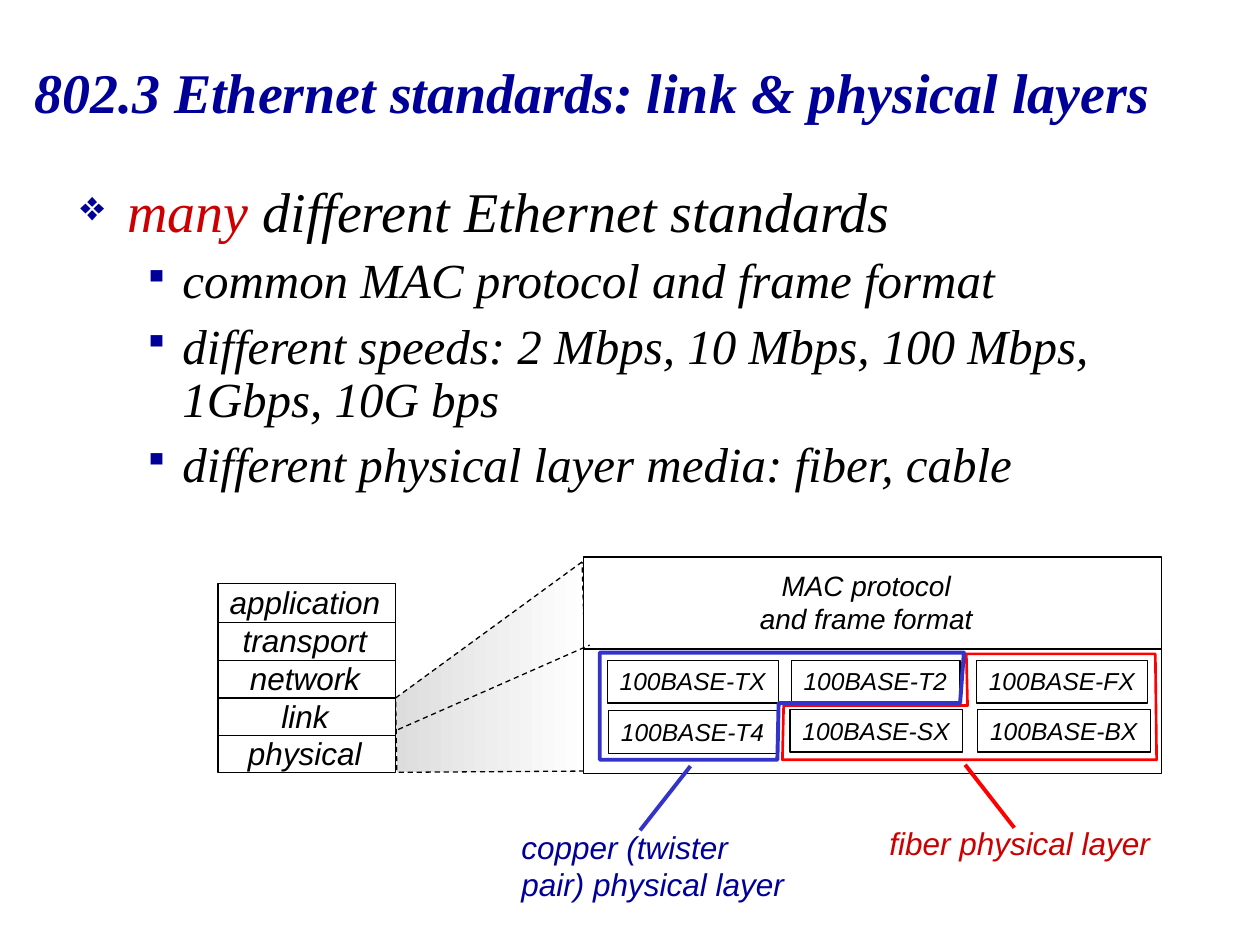
from lxml import etree
from pptx import Presentation
from pptx.dml.color import RGBColor
from pptx.enum import dml, shapes, text
from pptx.oxml import ns
from pptx.util import Inches, Pt

BLACK, WHITE, NAVY, CRIMSON = "000000", "FFFFFF", "000099", "CC0000"
BLUE, RED = "3333CC", "FF0000"

# Content
TITLE = "802.3 Ethernet standards: link & physical layers"
BULLETS = [  # level, runs of (text, colour)
    (0, [("many ", CRIMSON), ("different Ethernet standards", BLACK)]),
    (1, [("common MAC protocol and frame format", BLACK)]),
    (1, [("different speeds: 2 Mbps, 10 Mbps, 100 Mbps, 1Gbps, 10G bps", BLACK)]),
    (1, [("different physical layer media: fiber, cable", BLACK)]),
]
BULLET_STYLES = [  # mark, mark size %, indent, hanging, text size, space before
    ("❖", 75, 0.37, 0.37, 32, 8),
    ("▪", 72, 0.81, 0.31, 28, 7),
]
LAYERS = ["application", "transport", "network", "link", "physical"]
MAC_LABEL = ["MAC protocol", "and frame format"]
STANDARDS = [  # label, left, top, width
    ("100BASE-TX", 4.82, 5.24, 1.36),
    ("100BASE-T2", 6.28, 5.24, 1.34),
    ("100BASE-FX", 7.75, 5.24, 1.36),
    ("100BASE-T4", 4.83, 5.64, 1.34),
    ("100BASE-SX", 6.27, 5.63, 1.37),
    ("100BASE-BX", 7.76, 5.63, 1.37),
]
MEDIA = [  # outline, outline width, pointer, colour, label, label box, label colour
    ([(7.67, 5.19), (7.68, 5.6), (6.22, 5.6), (6.21, 6.03), (9.18, 6.03), (9.17, 5.19)],
     1.5, (7.66, 6.07, 8.05, 6.57), RED,
     ["fiber physical layer"], (6.96, 6.49, 2.3, 0.4), CRIMSON),
    ([(7.65, 5.18), (7.62, 5.58), (6.18, 5.58), (6.17, 6.03), (4.76, 6.03), (4.76, 5.18)],
     2.25, (5.48, 6.08, 5.08, 6.59), BLUE,
     ["copper (twister", "pair) physical layer"], (4.04, 6.52, 2.35, 0.7), NAVY),
]

presentation = Presentation()
presentation.slide_width, presentation.slide_height = Inches(10), Inches(7.5)
slide = presentation.slides.add_slide(presentation.slide_layouts[5])


def rgb(value):
    return RGBColor.from_string(value)


def style_font(font, name, size, color, bold=False):
    font.name, font.size, font.bold, font.italic = name, Pt(size), bold, True
    font.color.rgb = rgb(color)


def style_line(line, color=BLACK, width=0.75, dashed=False):
    line.color.rgb = rgb(color)
    line.width = Pt(width)
    if dashed:
        line.dash_style = dml.MSO_LINE.DASH


def add_box(left, top, width, height):
    box = slide.shapes.add_shape(shapes.MSO_SHAPE.RECTANGLE, *map(Inches, (left, top, width, height)))
    box.shadow.inherit = False
    box.fill.solid()
    box.fill.fore_color.rgb = rgb(WHITE)
    style_line(box.line)


def add_line(x1, y1, x2, y2, color=BLACK, width=0.75):
    line = slide.shapes.add_connector(shapes.MSO_CONNECTOR.STRAIGHT, *map(Inches, (x1, y1, x2, y2)))
    etree.SubElement(line._element.spPr, ns.qn("a:effectLst"))
    style_line(line.line, color, width)


def add_outline(points, close=True, **line_style):
    corners = [(Inches(x), Inches(y)) for x, y in points]
    builder = slide.shapes.build_freeform(*corners[0])
    builder.add_line_segments(corners[1:], close=close)
    outline = builder.convert_to_shape()
    outline.shadow.inherit = False
    outline.fill.background()
    style_line(outline.line, **line_style)
    return outline


def add_label(lines, place, size, color=BLACK, align=text.PP_ALIGN.LEFT):
    label = slide.shapes.add_textbox(*map(Inches, place))
    frame = label.text_frame
    frame.word_wrap = False
    frame.auto_size = text.MSO_AUTO_SIZE.SHAPE_TO_FIT_TEXT
    frame.text = "\n".join(lines)
    for paragraph in frame.paragraphs:
        paragraph.alignment = align
        style_font(paragraph.runs[0].font, "Arial", size, color)
    return label


def add_bullet(paragraph, mark, percent, indent, hanging):
    properties = paragraph._p.get_or_add_pPr()
    properties.set("marL", str(Inches(indent)))
    properties.set("indent", str(-Inches(hanging)))
    color = etree.SubElement(properties, ns.qn("a:buClr"))
    etree.SubElement(color, ns.qn("a:srgbClr"), val=NAVY)
    etree.SubElement(properties, ns.qn("a:buSzPct"), val=str(percent * 1000))
    etree.SubElement(properties, ns.qn("a:buChar"), char=mark)


# Title
title = slide.shapes.title
title.left, title.top, title.width, title.height = map(Inches, (0.17, 0.1, 9.53, 1.25))
title.text_frame.text = TITLE
title.text_frame.vertical_anchor = text.MSO_ANCHOR.MIDDLE
title.text_frame.paragraphs[0].alignment = text.PP_ALIGN.LEFT
style_font(title.text_frame.paragraphs[0].runs[0].font, "Times New Roman", 32, NAVY, bold=True)

# Bullet list
body = slide.shapes.add_textbox(*map(Inches, (0.54, 1.41, 8.5, 2.3))).text_frame
body.word_wrap = True
for index, (level, runs) in enumerate(BULLETS):
    mark, percent, indent, hanging, size, space = BULLET_STYLES[level]
    paragraph = body.add_paragraph() if index else body.paragraphs[0]
    paragraph.level = level
    add_bullet(paragraph, mark, percent, indent, hanging)
    paragraph.line_spacing = 0.9
    if index:
        paragraph.space_before = Pt(space)
    for words, color in runs:
        run = paragraph.add_run()
        run.text = words
        style_font(run.font, "Times New Roman", size, color)

# Shaded zoom from the link and physical layers
zoom = add_outline([(4.62, 4.46), (3.14, 5.54), (3.15, 6.13), (4.67, 6.12)], dashed=True)
zoom.fill.gradient()
zoom.fill.gradient_angle = 0
for stop, (position, color) in zip(zoom.fill.gradient_stops, [(0, "DDDDDD"), (1, WHITE)]):
    stop.position = position
    stop.color.rgb = rgb(color)

# Protocol stack
add_box(1.73, 4.63, 1.41, 1.5)
add_label(LAYERS, (1.67, 4.58, 1.5, 1.6), 18, align=text.PP_ALIGN.CENTER)
for row in range(len(LAYERS) - 1):
    y = 4.94 + 0.3 * row
    add_line(1.73, y, 3.14, y)

# MAC and physical layer panel
add_box(4.63, 4.42, 4.59, 1.72)
add_line(4.63, 5.15, 9.22, 5.15)
add_label(MAC_LABEL, (5.93, 4.46, 1.89, 0.64), 16, align=text.PP_ALIGN.CENTER)
add_outline([(3.16, 5.79), (4.68, 5.12)], close=False, dashed=True)
for name, left, top, width in STANDARDS:
    style_line(add_label([name], (left, top, width, 0.34), 14).line)

# Media groups with their pointers
for points, width, pointer, color, lines, place, label_color in MEDIA:
    add_outline(points, color=color, width=width)
    add_line(*pointer, color=color, width=2.25)
    add_label(lines, place, 18, label_color)

presentation.save("out.pptx")
